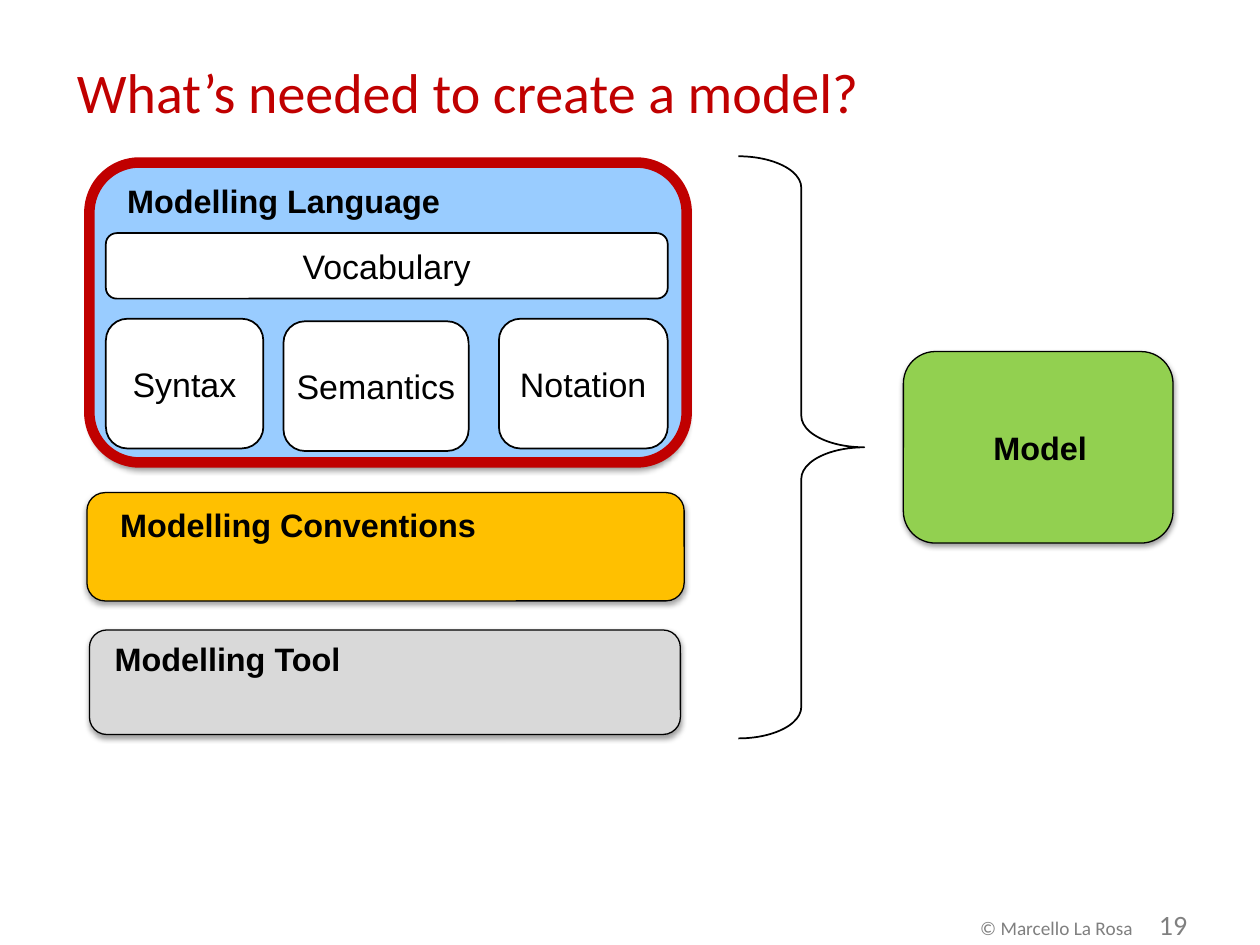
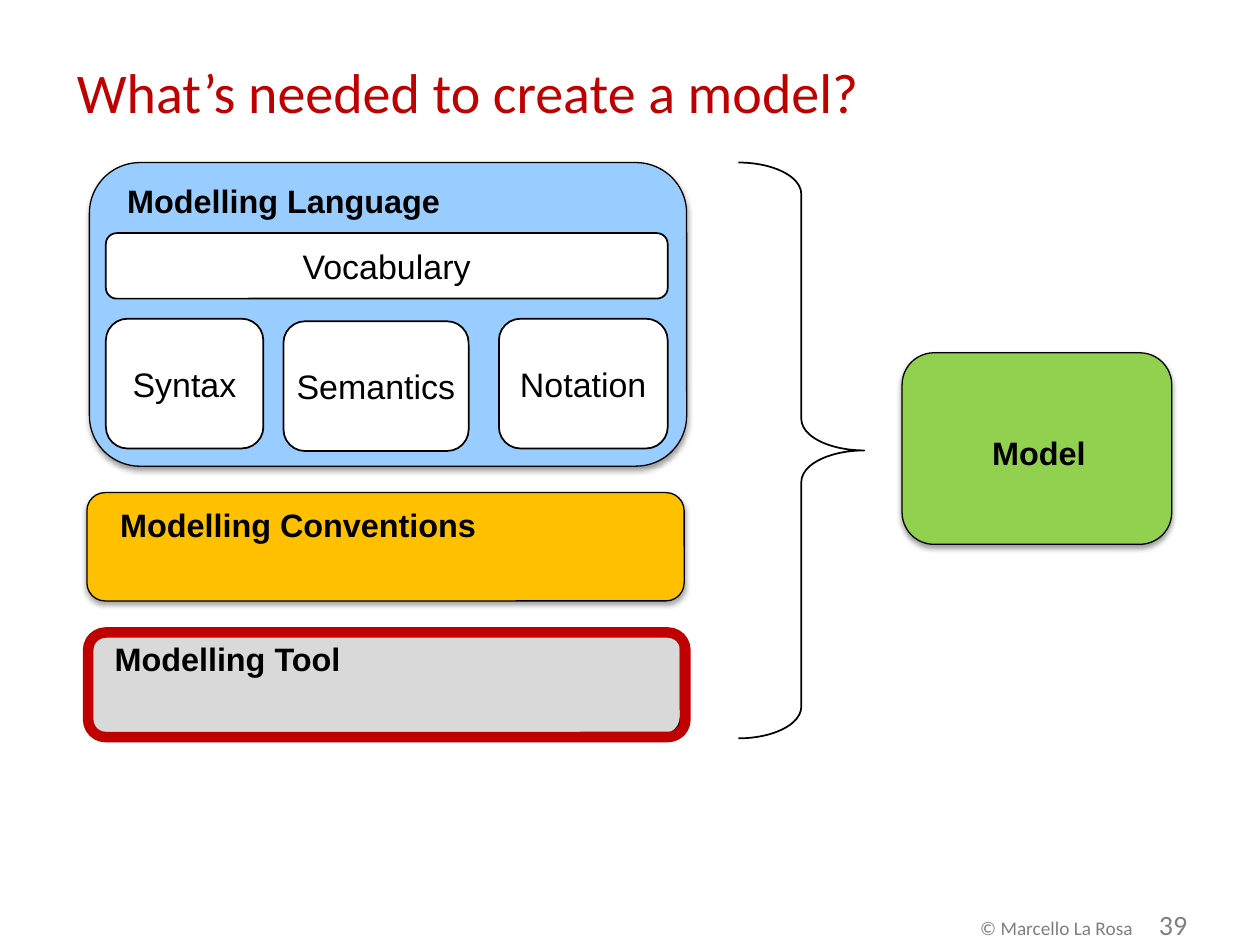
import pptx
import pptx.dml.color
import pptx.enum.shapes
import pptx.enum.text
import pptx.oxml
import pptx.oxml.ns
import pptx.util

Inches = pptx.util.Inches
Pt = pptx.util.Pt
SHAPE = pptx.enum.shapes.MSO_SHAPE
ANCHOR = pptx.enum.text.MSO_ANCHOR
ALIGN = pptx.enum.text.PP_ALIGN
AUTO_SIZE = pptx.enum.text.MSO_AUTO_SIZE

BLACK = "000000"
WHITE = "FFFFFF"
RED = "C00000"
LANGUAGE_BLUE = "99CCFF"
CONVENTIONS_AMBER = "FFC000"
TOOL_GREY = "D9D9D9"
MODEL_GREEN = "92D050"

TITLE = "What’s needed to create a model?"
SOFT_SHADOW = (
    '<a:outerShdw xmlns:a="http://schemas.openxmlformats.org/drawingml/2006/main"'
    ' blurRad="40000" dist="20000" dir="5400000" rotWithShape="0">'
    '<a:srgbClr val="000000"><a:alpha val="38000"/></a:srgbClr></a:outerShdw>'
)


def rgb(color):
    return pptx.dml.color.RGBColor.from_string(color)


def write(box, text, size, font="Arial", color=BLACK, bold=False,
          align=ALIGN.CENTER, anchor=ANCHOR.MIDDLE, wrap=False):
    frame = box.text_frame
    frame.auto_size = AUTO_SIZE.NONE
    frame.word_wrap = wrap
    frame.vertical_anchor = anchor
    para = frame.paragraphs[0]
    para.alignment = align
    span = para.add_run()
    span.text = text
    span.font.name = font
    span.font.size = Pt(size)
    span.font.bold = bold
    span.font.color.rgb = rgb(color)


def add_text(page, text, left, top, width, height, size, **text_format):
    box = page.shapes.add_textbox(Inches(left), Inches(top), Inches(width), Inches(height))
    write(box, text, size, **text_format)


def add_label(page, text, left, top, width):
    add_text(page, text, left, top, width, 0.41, 18.5, bold=True, anchor=ANCHOR.TOP)


def add_outline(page, kind, left, top, width, height, fill=None, line=BLACK, weight=1):
    shape = page.shapes.add_shape(
        kind, Inches(left), Inches(top), Inches(width), Inches(height))
    shape.shadow.inherit = False
    if fill:
        shape.fill.solid()
        shape.fill.fore_color.rgb = rgb(fill)
    else:
        shape.fill.background()
    shape.line.color.rgb = rgb(line)
    shape.line.width = Pt(weight)
    return shape


def add_panel(page, left, top, width, height, fill):
    """Add a coloured rounded panel with a soft shadow."""
    panel = add_outline(page, SHAPE.ROUNDED_RECTANGLE, left, top, width, height, fill, weight=0.75)
    effects = panel._element.spPr.find(pptx.oxml.ns.qn("a:effectLst"))
    effects.append(pptx.oxml.parse_xml(SOFT_SHADOW))


def add_part(page, text, left, top, width, height):
    """Add a white box naming one part of the modelling language."""
    part = add_outline(page, SHAPE.ROUNDED_RECTANGLE, left, top, width, height, WHITE)
    write(part, text, 19.4)


def add_highlight(page, left, top, width, height):
    add_outline(page, SHAPE.ROUNDED_RECTANGLE, left, top, width, height, line=RED, weight=6)


def add_brace(page, top):
    """Add the brace that spans from top down to the end of the tool panel."""
    brace = add_outline(page, SHAPE.RIGHT_BRACE, 5.86, top, 1, 5.86 - top)
    brace.adjustments[0] = 0.25
    brace.adjustments[1] = 0.5


def add_language(page):
    add_panel(page, 0.71, 1.29, 4.74, 2.41, LANGUAGE_BLUE)
    add_label(page, "Modelling Language", 0.9, 1.39, 2.7)
    add_part(page, "Vocabulary", 0.84, 1.85, 4.46, 0.52)
    for text, left, top, width in (("Syntax", 0.84, 2.53, 1.25),
                                   ("Semantics", 2.25, 2.55, 1.47),
                                   ("Notation", 3.96, 2.53, 1.34)):
        add_part(page, text, left, top, width, 1.03)


def add_model(page, left, top, label_top):
    add_panel(page, left, top, 2.14, 1.52, MODEL_GREEN)
    add_label(page, "Model", left + 0.61, label_top, 0.95)


def add_page(deck, number):
    """Add a slide with its title, copyright line and page number."""
    page = deck.slides.add_slide(deck.slide_layouts.get_by_name("Title Only"))
    title = page.shapes.title
    title.left, title.top = Inches(0.51), Inches(0.29)
    title.width, title.height = Inches(8.82), Inches(0.87)
    write(title, TITLE, 32, font="Calibri", color=RED, align=ALIGN.LEFT, wrap=True)
    add_text(page, "© Marcello La Rosa", 7.68, 7.22, 1.42, 0.29, 11, font="Calibri",
             color="7F7F7F", align=ALIGN.LEFT, anchor=ANCHOR.TOP)
    add_text(page, str(number), 9.02, 7.25, 0.58, 0.17, 16, font="Calibri",
             color="808080", wrap=True)
    return page


def add_ingredients_page(deck, number, brace_top, model, highlight):
    page = add_page(deck, number)
    add_language(page)
    add_panel(page, 0.69, 3.91, 4.74, 0.86, CONVENTIONS_AMBER)
    add_label(page, "Modelling Conventions", 0.84, 3.96, 3.05)
    add_panel(page, 0.71, 5, 4.69, 0.83, TOOL_GREY)
    add_label(page, "Modelling Tool", 0.8, 5.02, 2.01)
    add_brace(page, brace_top)
    add_model(page, *model)
    add_highlight(page, *highlight)


def main():
    deck = pptx.Presentation()
    deck.slide_width, deck.slide_height = Inches(10), Inches(7.5)
    add_ingredients_page(deck, 19, brace_top=1.24, model=(7.17, 2.79, 3.35),
                         highlight=(0.71, 1.29, 4.74, 2.38))
    add_ingredients_page(deck, 39, brace_top=1.29, model=(7.16, 2.8, 3.39),
                         highlight=(0.7, 5.02, 4.74, 0.83))
    deck.save("out.pptx")


if __name__ == "__main__":
    main()
